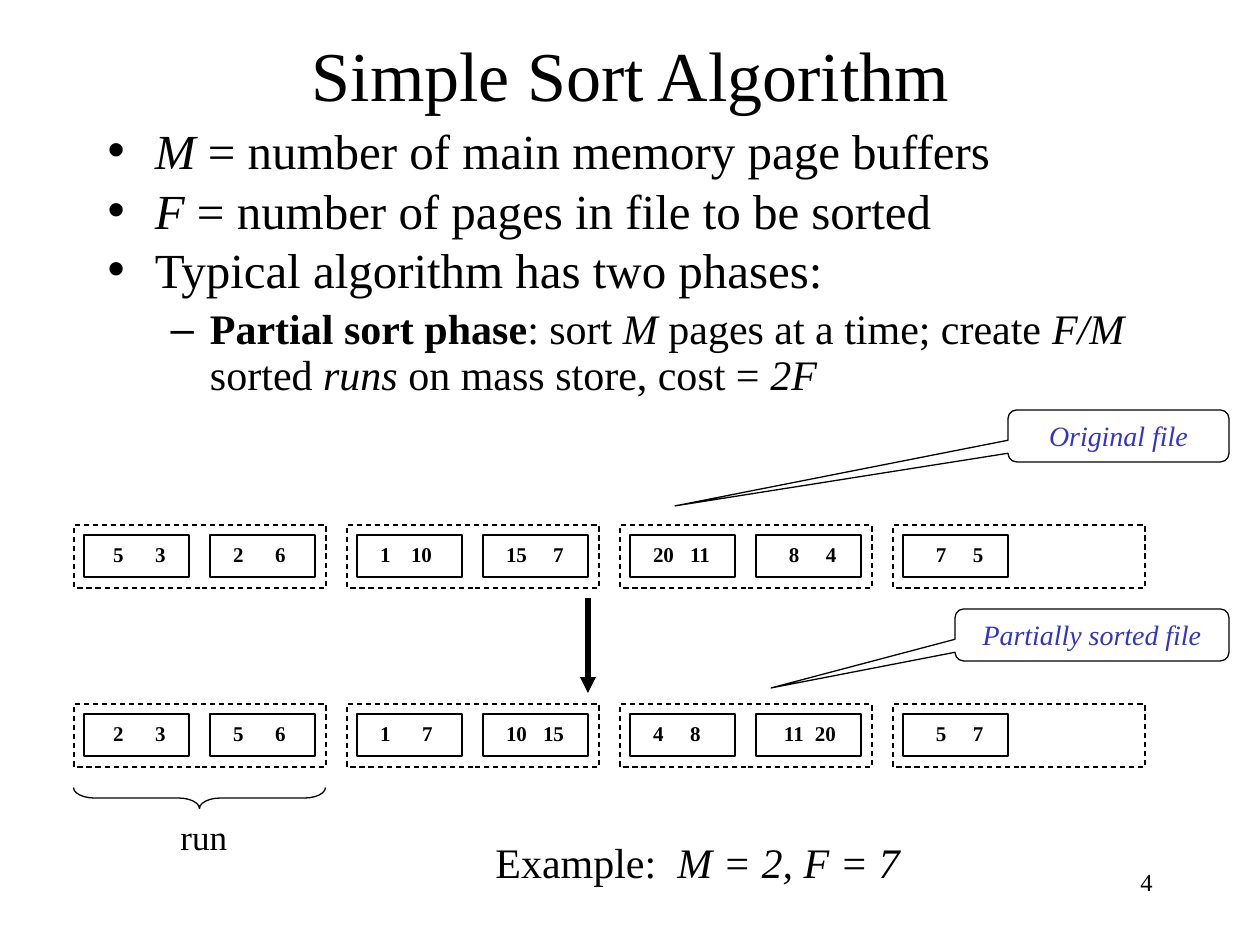
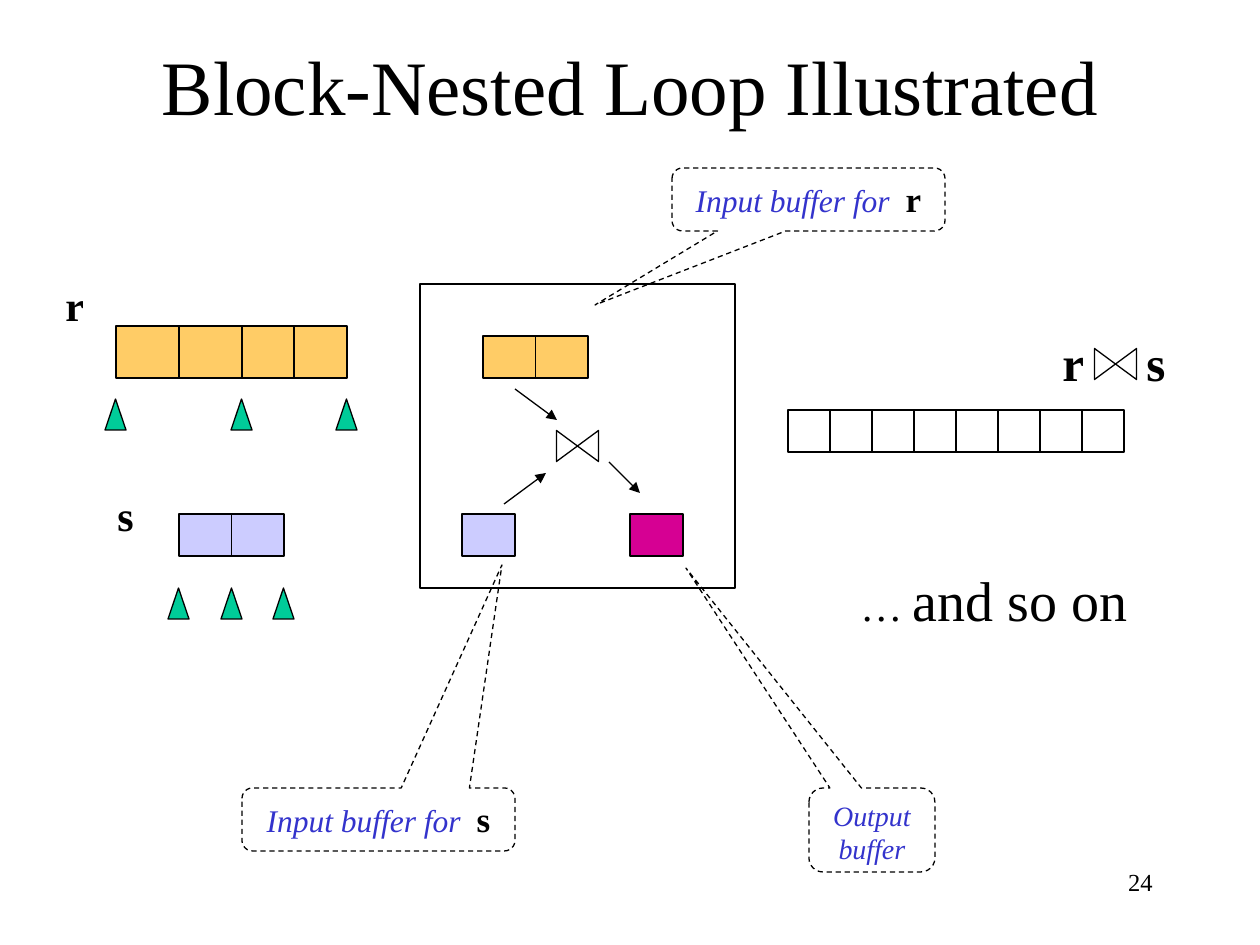
from lxml import etree
from pptx import Presentation
from pptx import util as u
from pptx.dml.color import RGBColor
from pptx.enum import dml, shapes, text
from pptx.oxml.ns import qn

FONT = "Times New Roman"
BLACK, BLUE = "000000", "3333CC"
ORANGE, LILAC, GREEN, MAGENTA = "FFCC66", "CCCCFF", "00CC99", "D60093"
SHAPE = shapes.MSO_SHAPE
ALIGN = text.PP_ALIGN


def px(n):
    """Convert px (126 to the inch) to EMU."""
    return u.Emu(round(n * 914400 / 126))


def rgb(color):
    return RGBColor.from_string(color)


# ---- text ----

def style(r, size, color=BLACK, flags="", gap=0):
    """Format a run; flags holds b and i, gap is letter spacing in points."""
    r.font.name = FONT
    r.font.size = u.Pt(size)
    r.font.color.rgb = rgb(color)
    r.font.bold = "b" in flags
    r.font.italic = "i" in flags
    if gap:
        r.font._element.set("spc", str(round(gap * 100)))


def add_runs(p, runs):
    """Each run is a tuple: text, size, then optional colour, flags, gap."""
    for words, *look in runs:
        r = p.add_run()
        r.text = words
        style(r, *look)


def tab_stop(p, pos):
    tabs = etree.SubElement(p._p.get_or_add_pPr(), qn("a:tabLst"))
    etree.SubElement(tabs, qn("a:tab"), pos=str(px(pos)), algn="l")


def label(s, x, y, w, h, runs, align=ALIGN.LEFT, tab=0):
    tf = s.shapes.add_textbox(px(x), px(y), px(w), px(h)).text_frame
    tf.word_wrap = True
    p = tf.paragraphs[0]
    p.alignment = align
    if tab:
        tab_stop(p, tab)
    add_runs(p, runs)


def place(sp, x, y, w, h):
    sp.left, sp.top, sp.width, sp.height = px(x), px(y), px(w), px(h)


def new_slide(prs, layout, title, size, height, number):
    s = prs.slides.add_slide(prs.slide_layouts[layout])
    sp = s.shapes.title
    place(sp, 95, 32, 1071, height)
    tf = sp.text_frame
    tf.auto_size = text.MSO_AUTO_SIZE.NONE
    tf.vertical_anchor = text.MSO_ANCHOR.MIDDLE
    tf.text = title
    tf.paragraphs[0].alignment = ALIGN.CENTER
    style(tf.paragraphs[0].runs[0], size)
    label(s, 903, 861, 262, 63, [(number, 14)], ALIGN.RIGHT)
    return s


def bullets(s, items):
    """Each item is a level and its runs as (text, flags)."""
    sp = s.placeholders[1]
    place(sp, 95, 126, 1071, 284)
    tf = sp.text_frame
    tf.auto_size = text.MSO_AUTO_SIZE.NONE
    for i, (level, runs) in enumerate(items):
        p = tf.add_paragraph() if i else tf.paragraphs[0]
        p.level = level
        p.line_spacing, before, size = [(0.8, 7, 28), (0.9, 6, 24)][level]
        p.space_before = u.Pt(before)
        add_runs(p, [(words, size, BLACK, flags) for words, flags in runs])


# ---- shapes and lines ----

def shape(s, kind, x, y, w, h, fill=None, dashed=False, rotation=0):
    sp = s.shapes.add_shape(kind, px(x), px(y), px(w), px(h))
    sp.shadow.inherit = False
    sp.rotation = rotation
    if fill:
        sp.fill.solid()
        sp.fill.fore_color.rgb = rgb(fill)
    else:
        sp.fill.background()
    sp.line.color.rgb = rgb(BLACK)
    sp.line.width = u.Pt(0.75)
    if dashed:
        sp.line.dash_style = dml.MSO_LINE.DASH
    return sp


def callout(s, x, y, w, h, tip, runs, dashed=False):
    sp = shape(s, SHAPE.ROUNDED_RECTANGULAR_CALLOUT, x, y, w, h, dashed=dashed)
    # The tip is stored relative to the centre of the body
    sp.adjustments[0] = (tip[0] - x - w / 2) / w
    sp.adjustments[1] = (tip[1] - y - h / 2) / h
    tf = sp.text_frame
    tf.word_wrap = True
    tf.vertical_anchor = text.MSO_ANCHOR.TOP
    tf.paragraphs[0].alignment = ALIGN.CENTER
    add_runs(tf.paragraphs[0], runs)


def line(s, x1, y1, x2, y2, width=0.75, arrow=False):
    cx = s.shapes.add_connector(shapes.MSO_CONNECTOR.STRAIGHT,
                                px(x1), px(y1), px(x2), px(y2))
    cx.line.color.rgb = rgb(BLACK)
    cx.line.width = u.Pt(width)
    if arrow:
        etree.SubElement(cx.line._get_or_add_ln(), qn("a:tailEnd"),
                         type="triangle")
    etree.SubElement(cx._element.spPr, qn("a:effectLst"))
    return cx


def halved_block(s, x, y, w, h, fill):
    """A rectangle of two equal pages."""
    sp = shape(s, SHAPE.RECTANGLE, x, y, w, h, fill)
    cx = line(s, x + w / 2, y, x + w / 2, y + h)
    cx.begin_connect(sp, 0)
    cx.end_connect(sp, 2)


def page(s, x, y, first, second, start, stop):
    """A page of two records, which begin at start and stop."""
    sp = shape(s, SHAPE.RECTANGLE, x, y, 105, 42)
    tf = sp.text_frame
    tf.word_wrap = True
    tf.vertical_anchor = text.MSO_ANCHOR.TOP
    tf.margin_left, tf.margin_right = px(start), 0
    p = tf.paragraphs[0]
    p.text = f"{first}\t{second}"
    p.alignment = ALIGN.LEFT
    tab_stop(p, stop - start)
    style(p.runs[0], 12, BLACK, "b")


def file_row(s, y, pages):
    """Four dashed runs with room for two pages each."""
    for i in range(4):
        shape(s, SHAPE.RECTANGLE, 74 + 273 * i, y, 252, 63, dashed=True)
    for i, records in enumerate(pages):
        page(s, 84 + 273 * (i // 2) + 126 * (i % 2), y + 10, *records)


def join_sign(s, x, y):
    shape(s, SHAPE.FLOWCHART_COLLATE, x, y, 31, 42, rotation=270)


def pointers(s, y, lefts):
    for x in lefts:
        shape(s, SHAPE.FLOWCHART_EXTRACT, x, y, 21, 31, GREEN)


# ---- slides ----

def sort_slide(prs):
    s = new_slide(prs, 1, "Simple Sort Algorithm", 40, 84, "4")
    bullets(s, [
        (0, [("M", "i"), (" = number of main memory page buffers", "")]),
        (0, [("F", "i"), (" = number of pages in file to be sorted", "")]),
        (0, [("Typical algorithm has two phases:", "")]),
        (1, [("Partial sort phase", "b"), (": sort ", ""), ("M", "i"),
             (" pages at a time; create ", ""), ("F/M ", "i"),
             ("sorted ", ""), ("runs ", "i"),
             ("on mass store, cost = ", ""), ("2F", "i")]),
    ])
    # File before and after the partial sort
    file_row(s, 525, [(5, 3, 29, 71), (2, 6, 23, 65), (1, 10, 23, 54),
                      (15, 7, 23, 70), (20, 11, 23, 60), (8, 4, 33, 70),
                      (7, 5, 33, 70)])
    line(s, 588, 598, 588, 693, 3, arrow=True)
    file_row(s, 704, [(2, 3, 29, 71), (5, 6, 23, 65), (1, 7, 23, 65),
                      (10, 15, 23, 60), (4, 8, 23, 60), (11, 20, 28, 59),
                      (5, 7, 33, 70)])
    callout(s, 1008, 410, 221, 52, (675, 506),
            [("Original file", 16, BLUE, "i")])
    callout(s, 955, 609, 274, 52, (771, 688),
            [("Partially sorted file", 16, BLUE, "i")])
    # Brace under the first run
    brace = shape(s, SHAPE.LEFT_BRACE, 189, 672, 21, 252, rotation=270)
    brace.adjustments[0] = 1
    label(s, 168, 809, 80, 55, [("run", 20)])
    label(s, 483, 830, 450, 63,
          [("Example:\t", 24), ("M = 2, F = 7", 24, BLACK, "i")], tab=182)


def loop_slide(prs):
    s = new_slide(prs, 5, "Block-Nested Loop Illustrated", 44, 105, "24")
    # Relations with their scan pointers
    label(s, 53, 273, 50, 63, [("r", 24, BLACK, "b")])
    shape(s, SHAPE.RECTANGLE, 116, 326, 231, 52, ORANGE)
    for x in (179, 242, 294):
        line(s, x, 326, x, 378)
    pointers(s, 399, (105, 231, 336))
    label(s, 105, 483, 50, 63, [("s", 24, BLACK, "b")])
    halved_block(s, 179, 514, 105, 42, LILAC)
    pointers(s, 588, (168, 221, 273))
    # Main memory
    shape(s, SHAPE.RECTANGLE, 420, 284, 315, 304)
    halved_block(s, 483, 336, 105, 42, ORANGE)
    shape(s, SHAPE.RECTANGLE, 462, 514, 53, 42, LILAC)
    shape(s, SHAPE.RECTANGLE, 630, 514, 53, 42, MAGENTA)
    join_sign(s, 562, 425)
    for ends in ((504, 504, 546, 473), (515, 389, 557, 420),
                 (609, 462, 640, 493)):
        line(s, *ends, arrow=True)
    # Join result
    label(s, 1050, 326, 140, 72, [("r\ts", 28, BLACK, "b")], tab=84)
    join_sign(s, 1100, 343)
    for i in range(8):
        shape(s, SHAPE.RECTANGLE, 788 + 42 * i, 410, 42, 42)
    label(s, 848, 559, 310, 81, [("… ", 24), ("and so on", 32)])
    # Buffer callouts
    for x, y, tip, name in ((672, 168, (595, 305), "r"),
                            (242, 788, (502, 565), "s")):
        callout(s, x, y, 273, 63, tip,
                [("Input buffer for", 18, BLUE, "i"),
                 (" ", 18, BLUE, "i", 4.5), (name, 20, BLACK, "b")],
                dashed=True)
    callout(s, 809, 788, 126, 84, (686, 568),
            [("Output buffer", 16, BLUE, "i")], dashed=True)


def main():
    prs = Presentation()
    prs.slide_width, prs.slide_height = px(1260), px(945)
    sort_slide(prs)
    loop_slide(prs)
    prs.save("out.pptx")


if __name__ == "__main__":
    main()
